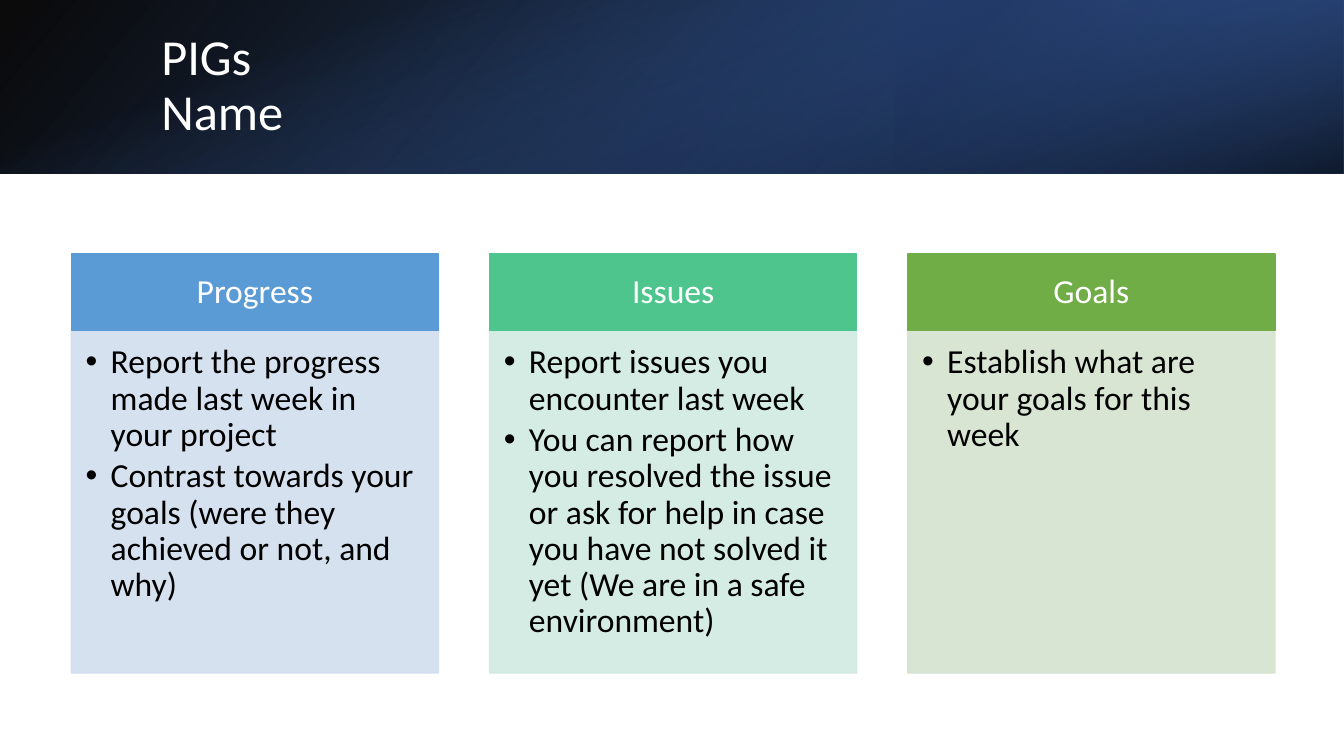
import pptx
import pptx.dml.color
import pptx.enum.shapes
import pptx.enum.text
import pptx.oxml
import pptx.oxml.ns
import pptx.util
from lxml import etree

Cm = pptx.util.Cm
Pt = pptx.util.Pt
PP_ALIGN = pptx.enum.text.PP_ALIGN
ANCHOR = pptx.enum.text.MSO_ANCHOR
qn = pptx.oxml.ns.qn

FONT = "Calibri"
COLORS = {
    "white": "FFFFFF", "black": "000000",
    "navy": "203864", "deep_blue": "2F5597", "bright_blue": "4472C4",
    "progress": "5B9BD5", "progress_light": "D2DEEF",
    "issues": "4DC58D", "issues_light": "D0EAE1",
    "goals": "70AD47", "goals_light": "D5E3CF",
}
SLIDE_W, SLIDE_H = Cm(33.87), Cm(19.05)
BAND_H = Cm(4.37)

# Column grid
LEFT, STEP, COL_W = Cm(1.8), Cm(10.54), Cm(9.25)
HEAD_TOP, HEAD_H = Cm(6.4), Cm(1.93)
BODY_TOP, BODY_H = HEAD_TOP + HEAD_H, Cm(8.63)

COLUMNS = [
    ("Progress", "progress", [
        "Report the progress made last week in your project",
        "Contrast towards your goals (were they achieved or not, and why)"]),
    ("Issues", "issues", [
        "Report issues you encounter last week",
        "You can report how you resolved the issue or ask for help in case "
        "you have not solved it yet (We are in a safe environment)"]),
    ("Goals", "goals", ["Establish what are your goals for this week"]),
]


def rgb(name):
    return pptx.dml.color.RGBColor.from_string(COLORS[name])


def place(sp, left, top, width, height):
    sp.left, sp.top, sp.width, sp.height = left, top, width, height


def add_rect(s, left, top, width, height):
    sp = s.shapes.add_shape(pptx.enum.shapes.MSO_SHAPE.RECTANGLE,
                            left, top, width, height)
    sp.shadow.inherit = False
    return sp


def paint(sp, color, alpha=100):
    """Give a shape a fill and an outline of one colour."""
    for fill in (sp.fill, sp.line.fill):
        fill.solid()
        fill.fore_color.rgb = rgb(color)
    sp.line.width = Pt(1)
    if alpha < 100:
        for clr in sp.element.spPr.iter(qn("a:srgbClr")):
            etree.SubElement(clr, qn("a:alpha"), val=str(alpha * 1000))


def add_gradient(s, box, angle, stops, rotation=0, flip=False):
    """Add a gradient layer behind the title; stops are (pos, colour, alpha)."""
    sp = add_rect(s, *box)
    sp.rotation = rotation
    sp.line.fill.background()
    if flip:
        sp.element.spPr.find(qn("a:xfrm")).set("flipH", "1")
    gs = "".join(
        f'<a:gs pos="{pos * 1000}"><a:srgbClr val="{COLORS[color]}">'
        f'<a:alpha val="{alpha * 1000}"/></a:srgbClr></a:gs>'
        for pos, color, alpha in stops)
    grad = pptx.oxml.parse_xml(
        f'<a:gradFill {pptx.oxml.ns.nsdecls("a")} rotWithShape="1">'
        f'<a:gsLst>{gs}</a:gsLst>'
        f'<a:lin ang="{angle * 60000}" scaled="0"/></a:gradFill>')
    sp.element.spPr.find(qn("a:prstGeom")).addnext(grad)
    s.shapes.title.element.addprevious(sp.element)


def format_text(tf, size, color, align, anchor, margins=None):
    tf.word_wrap = True
    tf.auto_size = pptx.enum.text.MSO_AUTO_SIZE.NONE
    tf.vertical_anchor = anchor
    if margins:
        (tf.margin_left, tf.margin_top,
         tf.margin_right, tf.margin_bottom) = map(Cm, margins)
    for p in tf.paragraphs:
        p.alignment = align
        p.line_spacing = 0.9
        p.space_before = Pt(0)
        for r in p.runs:
            r.font.name, r.font.size, r.font.bold = FONT, Pt(size), False
            r.font.color.rgb = rgb(color)


def add_bullet(p):
    p.space_after = Pt(3.6)
    pPr = p._p.get_or_add_pPr()
    pPr.set("marL", str(Cm(0.63)))
    pPr.set("indent", str(-Cm(0.63)))
    etree.SubElement(pPr, qn("a:buFont"), typeface="Arial")
    etree.SubElement(pPr, qn("a:buChar"), char="•")


def add_header(s, left, text, color):
    sp = add_rect(s, left, HEAD_TOP, COL_W, HEAD_H)
    paint(sp, color)
    sp.text_frame.text = text
    format_text(sp.text_frame, 24, "white", PP_ALIGN.CENTER, ANCHOR.MIDDLE,
                (0.48, 0.28, 0.48, 0.28))


def fill_list(sp, left, items, color):
    place(sp, left, BODY_TOP, COL_W, BODY_H)
    paint(sp, color, 90)
    tf = sp.text_frame
    tf.text = "\n".join(items)
    format_text(tf, 24, "black", PP_ALIGN.LEFT, ANCHOR.TOP,
                (0.36, 0.36, 0.48, 0.53))
    for p in tf.paragraphs:
        add_bullet(p)


def main():
    prs = pptx.Presentation()
    prs.slide_width, prs.slide_height = SLIDE_W, SLIDE_H
    s = prs.slides.add_slide(prs.slide_layouts.get_by_name("Comparison"))

    # Title band
    add_gradient(s, (0, 0, SLIDE_W, BAND_H), 140,
                 [(0, "black", 96), (100, "deep_blue", 100)], flip=True)
    add_gradient(s, (Cm(22.58), 0, Cm(11.29), BAND_H), 320,
                 [(19, "navy", 68), (100, "bright_blue", 79)], 180, flip=True)
    offset = (SLIDE_W - BAND_H) // 2
    add_gradient(s, (offset, -offset, BAND_H, SLIDE_W), 340,
                 [(23, "bright_blue", 0), (99, "black", 74)], 90)

    # Title
    title = s.shapes.title
    place(title, Cm(3.81), Cm(0.97), Cm(27.89), Cm(2.44))
    title.text_frame.text = "PIGs\vName"
    format_text(title.text_frame, 36, "white", PP_ALIGN.LEFT, ANCHOR.MIDDLE)

    # Columns
    bodies = [sp for sp in s.placeholders if sp.placeholder_format.idx > 0]
    for i, (heading, color, items) in enumerate(COLUMNS):
        left = LEFT + i * STEP
        add_header(s, left, heading, color)
        fill_list(bodies[i], left, items, color + "_light")
    for sp in bodies[len(COLUMNS):]:
        sp.element.getparent().remove(sp.element)

    prs.save("out.pptx")


main()
